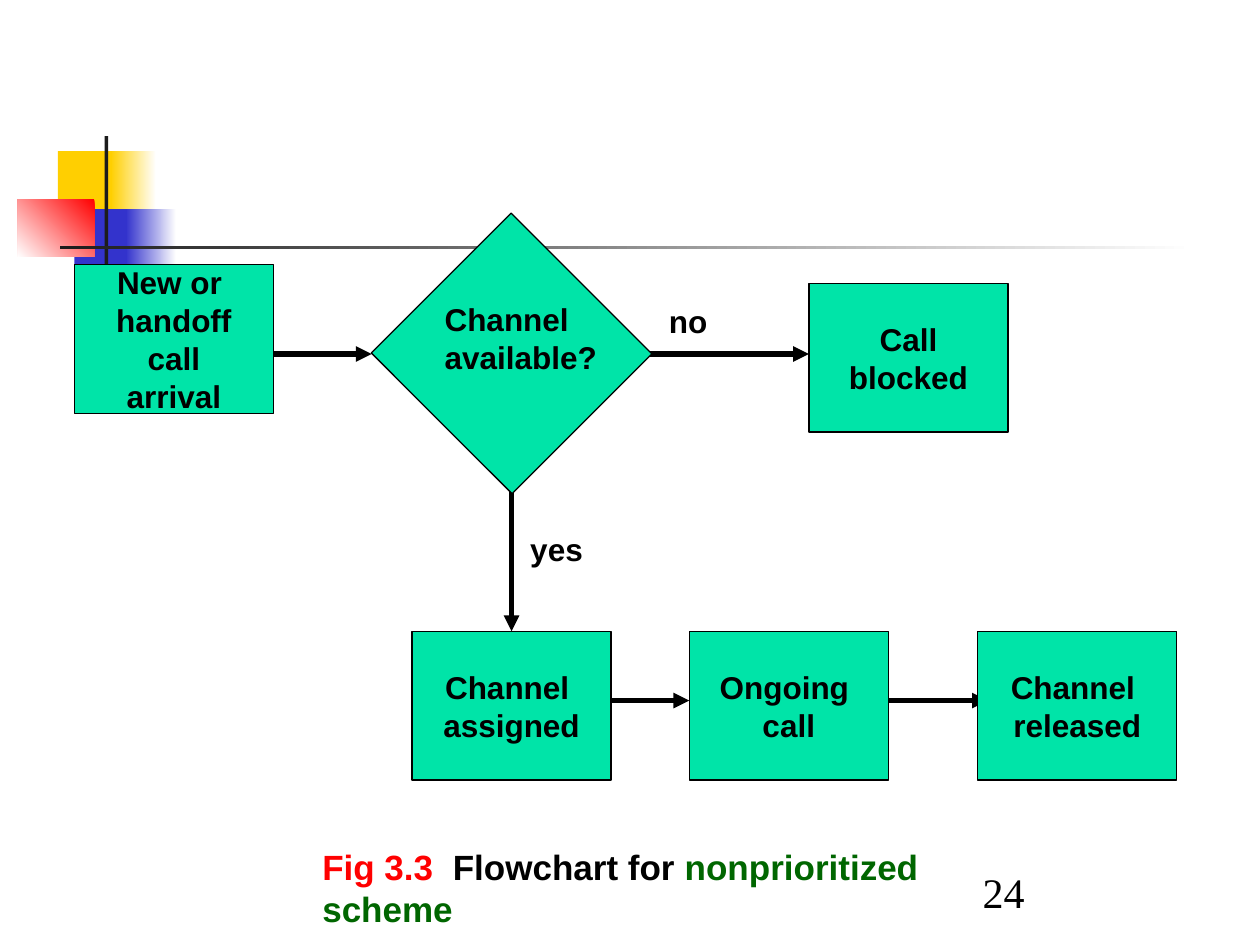
from lxml.etree import SubElement
from pptx import Presentation
from pptx.dml.color import RGBColor
from pptx.enum.shapes import MSO_CONNECTOR, MSO_SHAPE
from pptx.enum.text import MSO_ANCHOR, PP_ALIGN
from pptx.oxml.ns import qn
from pptx.util import Inches, Pt

COLORS = {
    "black": "000000",
    "white": "FFFFFF",
    "yellow": "FFCF01",
    "blue": "3333CC",
    "red": "FF0000",
    "charcoal": "1C1C1C",
    "mint": "00E4A8",
    "green": "006600",
}
STEP_WIDTH, STEP_HEIGHT = 1.58, 1.18


def color(name):
    return RGBColor.from_string(COLORS[name])


def add_rectangle(slide, box):
    shape = slide.shapes.add_shape(MSO_SHAPE.RECTANGLE, *map(Inches, box))
    shape.shadow.inherit = False
    return shape


def style_font(font, size, name="Arial", bold=True, fill="black"):
    font.size = Pt(size)
    font.name = name
    font.bold = bold
    font.color.rgb = color(fill)


def write_lines(text_frame, lines, alignment=PP_ALIGN.LEFT, size=18, **font_style):
    text_frame.word_wrap = True
    for index, line in enumerate(lines):
        paragraph = text_frame.add_paragraph() if index else text_frame.paragraphs[0]
        paragraph.text = line
        paragraph.alignment = alignment
        style_font(paragraph.font, size, **font_style)


def add_label(slide, box, lines, **text_style):
    label = slide.shapes.add_textbox(*map(Inches, box))
    write_lines(label.text_frame, lines, **text_style)
    return label


def add_block(slide, box, start, end=None, angle=180):
    block = add_rectangle(slide, box)
    block.line.fill.background()
    if end is None:
        block.fill.solid()
        block.fill.fore_color.rgb = color(start)
        return
    block.fill.gradient()
    block.fill.gradient_angle = angle
    for stop, name in zip(block.fill.gradient_stops, (start, end)):
        stop.color.rgb = color(name)


def add_decoration(slide, box):
    left, top, width, height = box
    blocks = [
        ((0.32, 0.12, 0.48, 0.52), "yellow"),
        ((0.74, 0.12, 0.36, 0.52), "white", "yellow"),
        ((0.45, 0.58, 0.46, 0.52), "blue"),
        ((0.86, 0.58, 0.4, 0.52), "white", "blue"),
        ((0, 0.5, 0.61, 0.46), "red", "white", 225),
        ((0.69, 0, 0.03, height), "charcoal"),
        ((0.34, 0.87, width - 0.34, 0.03), "white", "charcoal"),
    ]
    for (x, y, block_width, block_height), *fill in blocks:
        add_block(slide, (left + x, top + y, block_width, block_height), *fill)


def add_arrow(slide, start, end):
    arrow = slide.shapes.add_connector(
        MSO_CONNECTOR.STRAIGHT, *map(Inches, (*start, *end))
    )
    arrow.line.color.rgb = color("black")
    arrow.line.width = Pt(3)
    SubElement(arrow.line._get_or_add_ln(), qn("a:tailEnd"), type="triangle")
    SubElement(arrow._element.spPr, qn("a:effectLst"))


def add_step(slide, box, lines=(), rotation=0):
    step = add_rectangle(slide, box)
    step.rotation = rotation
    step.fill.solid()
    step.fill.fore_color.rgb = color("mint")
    step.line.color.rgb = color("black")
    step.line.width = Pt(0.75)
    step.text_frame.vertical_anchor = MSO_ANCHOR.MIDDLE
    write_lines(step.text_frame, lines, PP_ALIGN.CENTER)


def add_flowchart(slide, box):
    left, top, width, height = box
    arrow_length = 1.34
    upper, lower = top + 0.79, top + height - 0.63
    decision_left = left + 2.68
    decision_center = decision_left + STEP_WIDTH / 2
    lower_top = top + height - STEP_HEIGHT
    blocked_left = left + 5.83
    ongoing_left = left + 4.88
    released_left = left + width - STEP_WIDTH

    add_arrow(slide, (decision_center, top + 1.57), (decision_center, lower_top))
    for end, y in [
        (blocked_left, upper),
        (ongoing_left, lower),
        (released_left + 0.08, lower),
        (left + 2.36, upper),
    ]:
        add_arrow(slide, (end - arrow_length, y), (end, y))

    add_step(slide, (decision_left, top, STEP_WIDTH, 1.57), rotation=45)
    for x, y, lines in [
        (left, top + 0.08, ["New or ", "handoff call", "arrival"]),
        (blocked_left, top + 0.23, ["Call blocked"]),
        (decision_left, lower_top, ["Channel ", "assigned"]),
        (ongoing_left, lower_top, ["Ongoing ", "call"]),
        (released_left, lower_top, ["Channel ", "released"]),
    ]:
        add_step(slide, (x, y, STEP_WIDTH, STEP_HEIGHT), lines)

    add_label(slide, (left + 4.62, top + 0.33, 0.51, 0.4), ["no"])
    add_label(slide, (left + 3.52, top + 2.14, 0.62, 0.4), ["yes"])
    add_label(slide, (left + 2.84, top + 0.31, 1.41, 1), ["Channel", "available?"])


def add_caption(slide, box):
    caption = slide.shapes.add_textbox(*map(Inches, box))
    caption.text_frame.word_wrap = True
    paragraph = caption.text_frame.paragraphs[0]
    for text, fill in [
        ("Fig 3.3 ", "red"),
        (" Flowchart for ", "black"),
        ("nonprioritized scheme", "green"),
    ]:
        run = paragraph.add_run()
        run.text = text
        style_font(run.font, 20, fill=fill)


def add_slide_number(slide, box):
    label = add_label(slide, box, ["24"], size=24, name="Times New Roman", bold=False)
    label.text_frame.vertical_anchor = MSO_ANCHOR.BOTTOM


def main():
    presentation = Presentation()
    presentation.slide_width = Inches(10)
    presentation.slide_height = Inches(7.5)
    slide = presentation.slides.add_slide(presentation.slide_layouts[6])
    add_decoration(slide, (0.14, 1.08, 9.34, 1.15))
    add_slide_number(slide, (7.7, 6.83, 2.08, 0.5))
    add_flowchart(slide, (0.59, 2.02, 8.75, 4.17))
    add_caption(slide, (2.46, 6.66, 6.03, 0.43))
    presentation.save("out.pptx")


if __name__ == "__main__":
    main()
